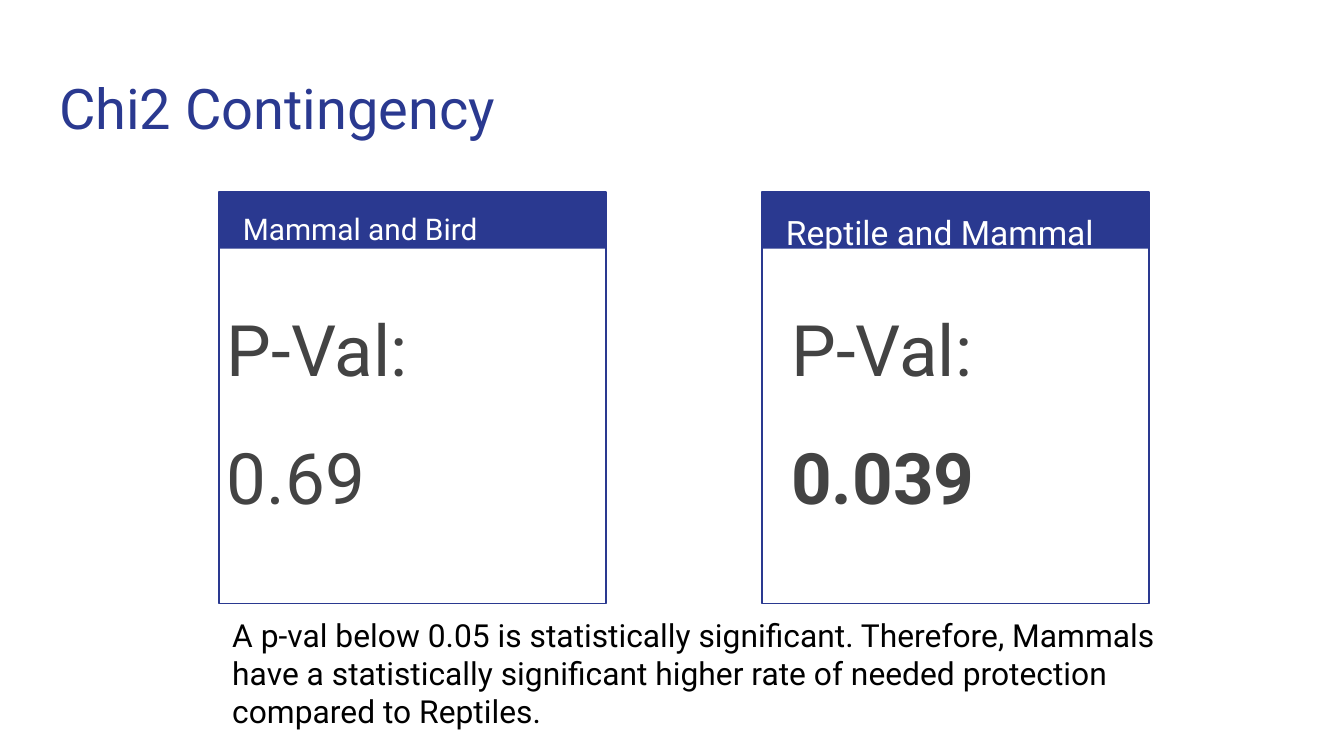
"""Build the Chi2 contingency slide with two p-value cards."""
from pptx import Presentation
from pptx import util as u
from pptx.dml.color import RGBColor
from pptx.enum import shapes, text

FONT = "Roboto"
COLORS = {"navy": "2A3990", "white": "FFFFFF", "gray": "434343", "black": "000000"}
SLIDE_WIDTH = 10
SLIDE_HEIGHT = SLIDE_WIDTH * 9 / 16
CARD_TOP, CARD_WIDTH, CARD_HEIGHT, HEADER_HEIGHT = 1.43, 2.88, 3.06, 0.42


def color(name):
    return RGBColor.from_string(COLORS[name])


def place(shape, left, top, width, height):
    shape.left, shape.top = u.Inches(left), u.Inches(top)
    shape.width, shape.height = u.Inches(width), u.Inches(height)


def set_text(shape, lines, size, color_name, line_spacing=1.0):
    frame = shape.text_frame
    frame.word_wrap = True
    frame.auto_size = text.MSO_AUTO_SIZE.NONE
    frame.vertical_anchor = text.MSO_ANCHOR.TOP
    frame.margin_left = frame.margin_right = u.Inches(0.1)
    frame.margin_top = frame.margin_bottom = u.Inches(0.1)
    frame.text = "\n".join(lines)
    for paragraph in frame.paragraphs:
        paragraph.alignment = text.PP_ALIGN.LEFT
        paragraph.line_spacing = line_spacing
        paragraph.font.name = FONT
        paragraph.font.size = u.Pt(size)
        paragraph.font.color.rgb = color(color_name)
    return frame.paragraphs


def add_text(slide, box, lines, size, color_name, line_spacing=1.0):
    shape = slide.shapes.add_textbox(*map(u.Inches, box))
    return set_text(shape, lines, size, color_name, line_spacing)


def add_rectangle(group, left, height, filled):
    shape = group.shapes.add_shape(
        shapes.MSO_SHAPE.RECTANGLE,
        *map(u.Inches, (left, CARD_TOP, CARD_WIDTH, height)))
    shape.shadow.inherit = False
    if filled:
        shape.fill.solid()
        shape.fill.fore_color.rgb = color("navy")
        shape.line.fill.background()
    else:
        shape.fill.background()
        shape.line.color.rgb = color("navy")
        shape.line.width = u.Pt(0.75)


def add_card(slide, left, heading, heading_size, value, value_left, bold):
    group = slide.shapes.add_group_shape()
    add_rectangle(group, left, HEADER_HEIGHT, filled=True)
    add_rectangle(group, left, CARD_HEIGHT, filled=False)
    add_text(slide, (left + 0.08, CARD_TOP, 2.73, 0.5),
             [heading], heading_size, "white", 1.15)
    paragraphs = add_text(slide, (value_left, 2.08, 4.2, 1.26),
                          ["P-Val:", value], 38, "gray", 1.15)
    for paragraph in paragraphs:
        properties = paragraph._p.get_or_add_pPr()
        for name in ("marL", "indent"):
            properties.set(name, str(u.Inches(0.31)))
    paragraphs[1].space_before = paragraphs[1].space_after = u.Pt(16)
    paragraphs[1].font.bold = bold


def main():
    presentation = Presentation()
    presentation.slide_width = u.Inches(SLIDE_WIDTH)
    presentation.slide_height = u.Inches(SLIDE_HEIGHT)
    slide = presentation.slides.add_slide(presentation.slide_layouts[5])
    title = slide.shapes.title
    place(title, 0.34, 0.45, 9.32, 0.66)
    set_text(title, ["Chi2 Contingency"], 30, "navy")
    add_card(slide, 1.63, "Mammal and Bird", 16, "0.69", 0.97, bold=False)
    add_card(slide, 5.67, "Reptile and Mammal", 18, "0.039", 5.17, bold=True)
    add_text(slide, (1.63, 4.48, 7.2, 1.06), [
        "A p-val below 0.05 is statistically significant. Therefore, Mammals "
        "have a statistically significant higher rate of needed protection "
        "compared to Reptiles."], 17, "black")
    presentation.save("out.pptx")


if __name__ == "__main__":
    main()
